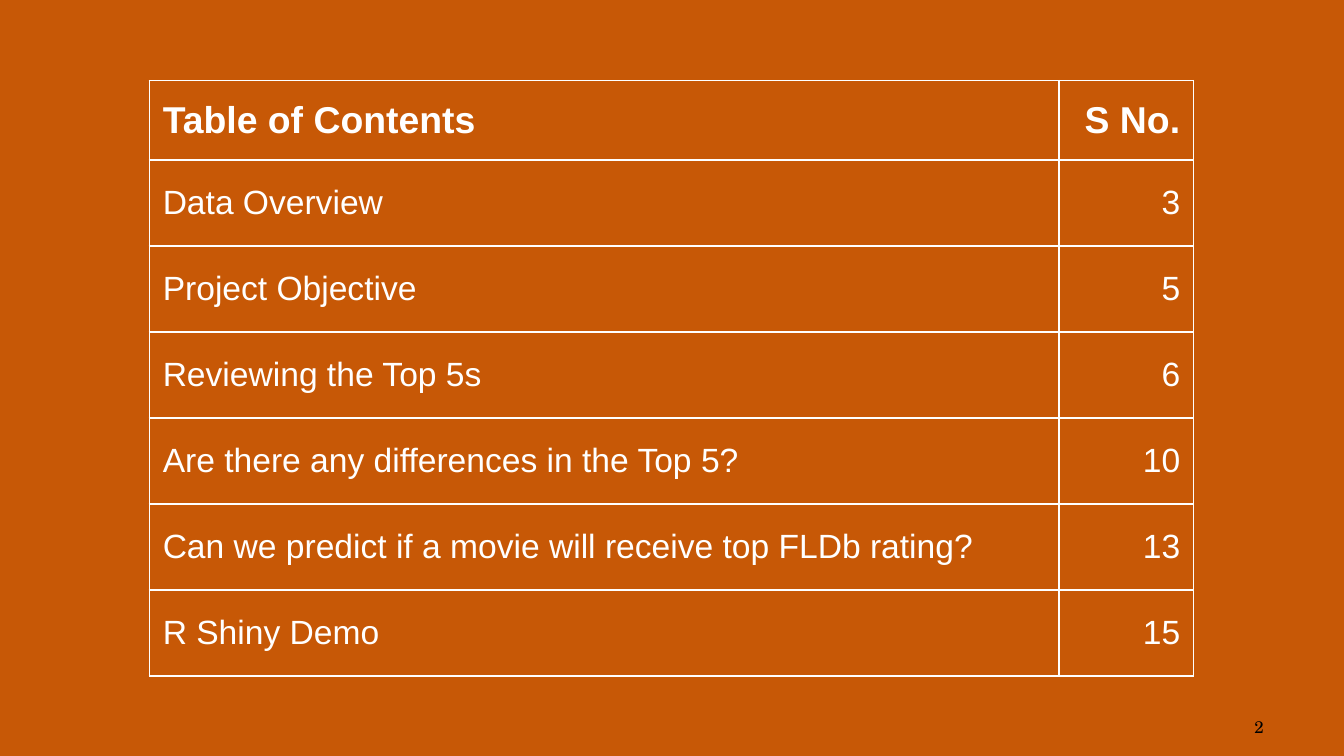
import pptx
import pptx.dml.color
import pptx.enum.text
import pptx.oxml
import pptx.oxml.ns
import pptx.util

Pt = pptx.util.Pt
ALIGN = pptx.enum.text.PP_ALIGN
MIDDLE = pptx.enum.text.MSO_ANCHOR.MIDDLE

BACK = "C75806"
WHITE = "FFFFFF"
BLACK = "000000"

HEAD = {"name": "Arial", "size": Pt(20), "bold": True}
BODY = {"name": "Arial", "size": Pt(18), "bold": False}
NUMBER = {"name": "TeX Gyre Schola", "size": Pt(9)}

ROWS = [
    ("Table of Contents", "S No."),
    ("Data Overview", "3"),
    ("Project Objective", "5"),
    ("Reviewing the Top 5s", "6"),
    ("Are there any differences in the Top 5?", "10"),
    ("Can we predict if a movie will receive top FLDb rating?", "13"),
    ("R Shiny Demo", "15"),
]
WIDTHS = (487.5, 72)
HEAD_HIGH, ROW_HIGH = 42.5, 46.08


def paint(target, color):
    target.rgb = pptx.dml.color.RGBColor.from_string(color)


def write(frame, text, form, color, align):
    para = frame.paragraphs[0]
    para.alignment = align
    run = para.add_run()
    run.text = text
    for key, value in form.items():
        setattr(run.font, key, value)
    paint(run.font.color, color)


def border(cell, color, width):
    props = cell._tc.get_or_add_tcPr()
    for side in ("lnL", "lnR", "lnT", "lnB"):
        props.append(pptx.oxml.parse_xml(
            f'<a:{side} {pptx.oxml.ns.nsdecls("a")} w="{Pt(width)}">'
            f'<a:solidFill><a:srgbClr val="{color}"/></a:solidFill>'
            f'</a:{side}>'))


def add_grid(slide, left, top):
    high = HEAD_HIGH + ROW_HIGH * (len(ROWS) - 1)
    table = slide.shapes.add_table(
        len(ROWS), len(WIDTHS), Pt(left), Pt(top),
        Pt(sum(WIDTHS)), Pt(high)).table
    table.horz_banding = False
    for col, width in zip(table.columns, WIDTHS):
        col.width = Pt(width)
    for r, texts in enumerate(ROWS):
        table.rows[r].height = Pt(ROW_HIGH if r else HEAD_HIGH)
        for c, text in enumerate(texts):
            cell = table.cell(r, c)
            cell.vertical_anchor = MIDDLE
            border(cell, WHITE, 1)
            cell.fill.background()
            write(cell.text_frame, text, BODY if r else HEAD, WHITE,
                  ALIGN.RIGHT if c else ALIGN.LEFT)


def add_text(slide, text, left, top, width, height):
    frame = slide.shapes.add_textbox(
        Pt(left), Pt(top), Pt(width), Pt(height)).text_frame
    frame.word_wrap = True
    frame.vertical_anchor = MIDDLE
    write(frame, text, NUMBER, BLACK, ALIGN.RIGHT)


def main():
    deck = pptx.Presentation()
    deck.slide_width, deck.slide_height = Pt(720), Pt(405)
    slide = deck.slides.add_slide(deck.slide_layouts[6])

    # Background
    fill = slide.background.fill
    fill.solid()
    paint(fill.fore_color, BACK)

    # Page number
    add_text(slide, "2", 516, 381.6, 168, 16)

    # Contents table
    add_grid(slide, 80, 43.2)

    deck.save("out.pptx")


if __name__ == "__main__":
    main()
